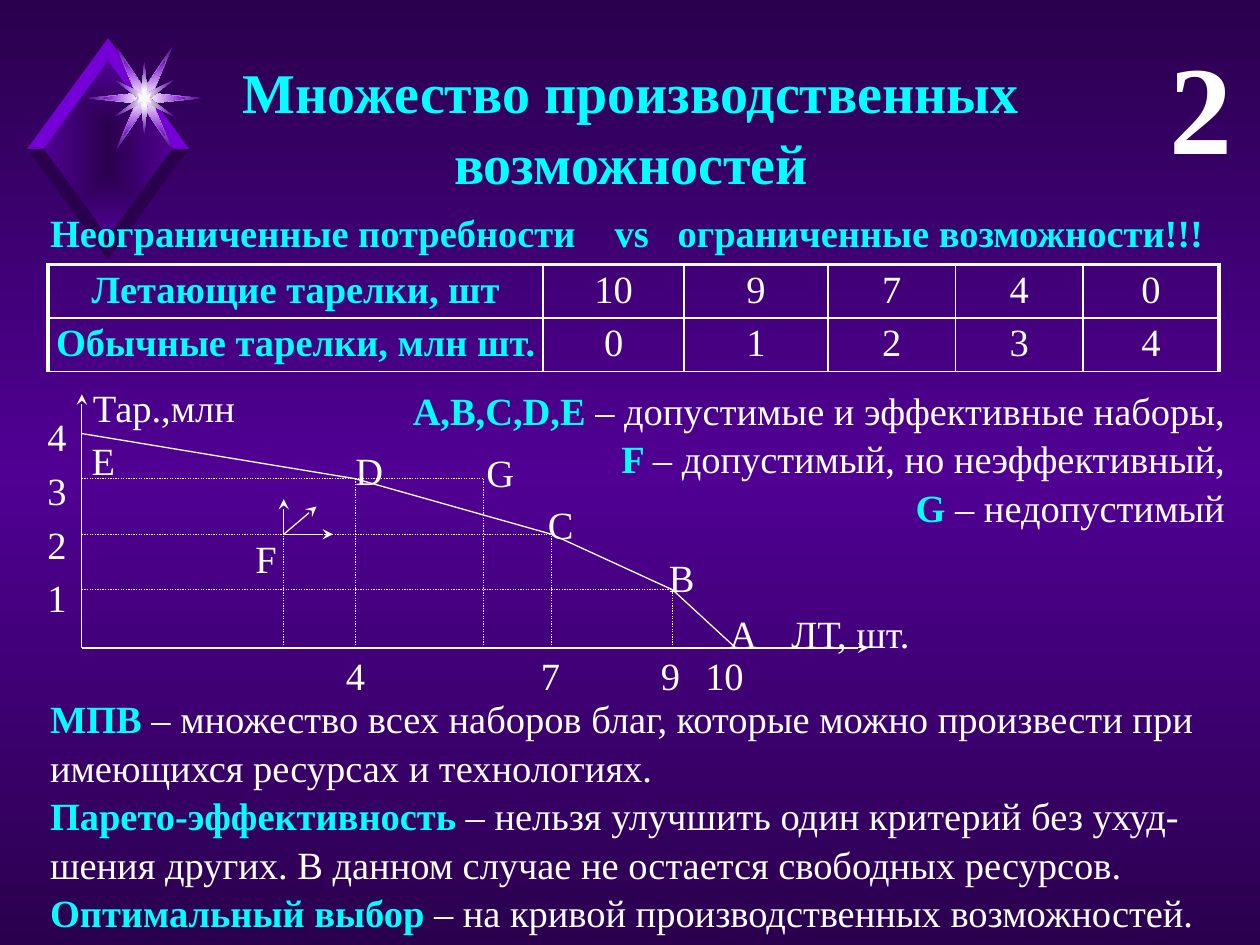
"""Build a slide on the production possibility set."""
from itertools import pairwise, product

from lxml import etree
from pptx import Presentation
from pptx import util as u
from pptx.dml.color import RGBColor
from pptx.enum import dml, shapes, text
from pptx.oxml import ns

DARK = RGBColor(0x2A, 0x00, 0x4E)
MID = RGBColor(0x50, 0x00, 0x93)
VIOLET = RGBColor(0x75, 0x00, 0xD7)
PALE = RGBColor(0xF9, 0xF9, 0xF9)
WHITE = RGBColor(0xFF, 0xFF, 0xFF)
CYAN = RGBColor(0x00, 0xFF, 0xFF)
LEFT, MIDDLE, RIGHT = text.PP_ALIGN.LEFT, text.PP_ALIGN.CENTER, text.PP_ALIGN.RIGHT
WIDE = {"margin_left": 0.25, "margin_right": 0.25, "margin_top": 0.13, "margin_bottom": 0.13}
TIGHT = dict.fromkeys(WIDE, 0.03)
CELL = dict.fromkeys(WIDE, 0.05)


def sub(node, tag, **attrs):
    """Append a drawing element to a node."""
    return etree.SubElement(node, ns.qn("a:" + tag), **attrs)


def shade(node, stops, focal=True):
    """Replace the solid fill of a node by a gradient."""
    old = node.find(ns.qn("a:solidFill"))
    grad = etree.Element(ns.qn("a:gradFill"), rotWithShape="1")
    stack = sub(grad, "gsLst")
    for i, color in enumerate(stops):
        stop = sub(stack, "gs", pos=str(i * 100000 // (len(stops) - 1)))
        sub(stop, "srgbClr", val=str(color))
    if focal:
        sub(sub(grad, "path", path="rect"), "fillToRect", **dict.fromkeys("ltrb", "50000"))
    else:
        sub(grad, "lin", ang="5400000", scaled="0")
    node.replace(old, grad)


def form(slide, points, *colors):
    """Draw a closed outline with a plain or shaded fill."""
    spots = [(u.Cm(x), u.Cm(y)) for x, y in points]
    pen = slide.shapes.build_freeform(*spots[0])
    pen.add_line_segments(spots[1:], close=True)
    shape = pen.convert_to_shape()
    shape.shadow.inherit = False
    shape.line.fill.background()
    shape.fill.solid()
    shape.fill.fore_color.rgb = colors[0]
    if len(colors) > 1:
        shade(shape.element.spPr, colors)


def gem(slide):
    """Draw the bevelled diamond."""
    x, y = 2.18, 3.0
    w, h, a, b = 1.63, 2.23, 1.3, 1.78
    form(slide, [(x, y - b), (x - a, y), (x, y + b), (x + a, y)], DARK, MID)
    for v, s in product((-1, 1), (1, -1)):
        rim = [(0, v * b), (0, v * h), (s * w, 0), (s * a, 0)]
        form(slide, [(x + i, y + j) for i, j in rim], VIOLET if v < 0 else DARK)


def star(slide, side, low, high, top, *colors):
    """Draw a star from its first quarter by mirroring."""
    (a, b), (c, d) = low, high
    half = [(side, 0), (a, -b), (c, -d), (0, -top), (-c, -d), (-a, -b)]
    ring = half + [(-x, -y) for x, y in half]
    form(slide, [(2.91 + x, 1.98 + y) for x, y in ring], *colors)


def style(font, size, color, bold):
    """Format a font."""
    for key, val in {"name": "Times New Roman", "size": u.Pt(size), "bold": bold}.items():
        setattr(font, key, val)
    font.color.rgb = color


def write(frame, rows, size=22, align=LEFT, pads=WIDE, tabs=()):
    """Fill a frame with rows of (words, color, bold) runs."""
    for key, val in pads.items():
        setattr(frame, key, u.Cm(val))
    frame.word_wrap = True
    for i, row in enumerate(rows):
        para = frame.add_paragraph() if i else frame.paragraphs[0]
        para.alignment, para.line_spacing = align, 1.05
        if tabs:
            stops = sub(para._p.get_or_add_pPr(), "tabLst")
            for tab in tabs:
                sub(stops, "tab", pos=str(u.Cm(tab)), algn="l")
        for words, color, bold in row:
            run = para.add_run()
            run.text = words
            style(run.font, size, color, bold)


def box(slide, spot, rows, **opts):
    """Add a text box."""
    frame = slide.shapes.add_textbox(*map(u.Cm, spot)).text_frame
    write(frame, rows, **opts)


def label(slide, words, x, y, w=1.17, align=MIDDLE):
    """Add a chart label."""
    box(slide, (x, y, w, 0.99), [[(words, WHITE, False)]], align=align, pads=TIGHT)


def terms(pairs):
    """Pair bold terms with plain notes."""
    return [[(term, CYAN, True), (note, WHITE, False)] for term, note in pairs]


def line(slide, start, end, dots=False, arrow=False):
    """Add a straight line."""
    rule = slide.shapes.add_connector(shapes.MSO_CONNECTOR.STRAIGHT, *map(u.Cm, (*start, *end)))
    rule.line.color.rgb = WHITE
    rule.line.width = u.Pt(0.75)
    if dots:
        rule.line.dash_style = dml.MSO_LINE.ROUND_DOT
    props = rule.element.spPr
    if arrow:
        sub(props.find(ns.qn("a:ln")), "tailEnd", type="stealth")
    sub(props, "effectLst")


def grid(slide):
    """Add the table of plate counts."""
    data = [("Летающие тарелки, шт", 10, 9, 7, 4, 0),
            ("Обычные тарелки, млн шт.", 0, 1, 2, 3, 4)]
    cols = (9.98, 2.84, 2.9, 2.57, 2.57, 2.74)
    spot = map(u.Cm, (0.97, 5.33, sum(cols), 2.08))
    table = slide.shapes.add_table(len(data), len(cols), *spot).table
    table.first_row = table.horz_banding = False
    for col, wide in zip(table.columns, cols):
        col.width = u.Cm(wide)
    for (r, row), c in product(enumerate(data), range(len(cols))):
        cell = table.cell(r, c)
        head = c == 0
        write(cell.text_frame, [[(str(row[c]), CYAN if head else WHITE, head)]], align=MIDDLE)
        for key, val in CELL.items():
            setattr(cell, key, u.Cm(val))
        thick = {"L": head, "R": c == len(cols) - 1, "T": r == 0, "B": False}
        for side, bold in thick.items():
            edge = sub(cell._tc.get_or_add_tcPr(), "ln" + side, w=str(u.Pt(2.25 if bold else 1)))
            sub(sub(edge, "solidFill"), "srgbClr", val=str(WHITE))
        cell.fill.background()


def graph(slide):
    """Draw the production possibility curve."""
    x, y = 1.65, 13.06
    curve = [(x, 8.74), (7.16, 9.65), (11.12, 10.77), (13.56, 11.89), (14.83, y)]
    goal, weak = (9.75, 9.65), (5.72, 10.77)
    for end in ((x, 7.95), (17.5, y)):
        line(slide, (x, y), end, arrow=True)
    for start, end in pairwise(curve):
        line(slide, start, end)
    for spot in (goal, *curve[2:4]):
        line(slide, (x, spot[1]), spot, dots=True)
    for spot in (goal, weak, *curve[1:4]):
        line(slide, (spot[0], y), spot, dots=True)
    for end in ((5.72, 10.06), (6.71, 10.77), (6.38, 10.21)):
        line(slide, weak, end, arrow=True)
    for i in range(4):
        label(slide, str(4 - i), 0.46, 8.26 + 1.08 * i, 0.91, RIGHT)
    for num, left in ((4, 6.71), (7, 10.64), (9, 13.06), (10, 14.15)):
        label(slide, str(num), left, 13.07, 0.91)
    marks = {"A": (14.4, 12.22), "B": (13.16, 11.1), "C": (10.72, 10.03), "D": (6.86, 8.94),
             "E": (1.5, 8.74), "F": (4.78, 10.72), "G": (9.5, 8.97)}
    for name, spot in marks.items():
        label(slide, name, *spot)
    label(slide, "Тар.,млн", 1.83, 7.67, 2.95)
    label(slide, "ЛТ, шт.", 15.75, 12.22, 2.79)


def main():
    """Build and save the slide."""
    deck = Presentation()
    deck.slide_width, deck.slide_height = u.Cm(25.4), u.Cm(19.05)
    slide = deck.slides.add_slide(deck.slide_layouts[5])
    slide.background.fill.solid()
    shade(slide.element.xpath("p:cSld/p:bg/p:bgPr")[0], (DARK, MID, DARK), focal=False)
    gem(slide)
    star(slide, 1.16, (0.17, 0.1), (0.57, 1.05), 0.2, WHITE, MID)
    star(slide, 0.85, (0.17, 0.1), (0.42, 0.77), 0.2, WHITE, VIOLET)
    star(slide, 0.11, (0.6, 0.37), (0.06, 0.1), 0.74, WHITE, MID)
    star(slide, 0.1, (0.14, 0.1), (0.03, 0.05), 0.18, PALE)
    title = slide.shapes.title
    for key, val in {"left": 0.51, "top": 0.97, "width": 24.43, "height": 3}.items():
        setattr(title, key, u.Cm(val))
    frame = title.text_frame
    frame.auto_size, frame.vertical_anchor = text.MSO_AUTO_SIZE.NONE, text.MSO_ANCHOR.TOP
    rows = [[(words, CYAN, True)] for words in ("Множество производственных", "возможностей")]
    write(frame, rows, size=32, align=MIDDLE)
    box(slide, (21.92, 0.3, 3.18, 3.33), [[("2", WHITE, True)]], size=72, align=RIGHT)
    lead = "Неограниченные потребности\tvs\tограниченные возможности!!!"
    box(slide, (0.76, 4.04, 23.88, 1.19), [[(lead, CYAN, True)]], tabs=(11.38, 12.65))
    box(slide, (0.76, 13.84, 24.18, 4.95), terms([
        ("МПВ ", "– множество всех наборов благ, которые можно произвести при "
                 "имеющихся ресурсах и технологиях."),
        ("Парето-эффективность ", "– нельзя улучшить один критерий без ухуд-шения других. "
                                  "В данном случае не остается свободных ресурсов."),
        ("Оптимальный выбор ", "– на кривой производственных возможностей.")]))
    grid(slide)
    graph(slide)
    box(slide, (7.95, 7.62, 16.99, 3.07), terms([
        ("A,B,C,D,E", " – допустимые и эффективные наборы,"),
        ("F ", "– допустимый, но неэффективный,"),
        ("G", " – недопустимый")]), align=RIGHT)
    deck.save("out.pptx")


if __name__ == "__main__":
    main()
